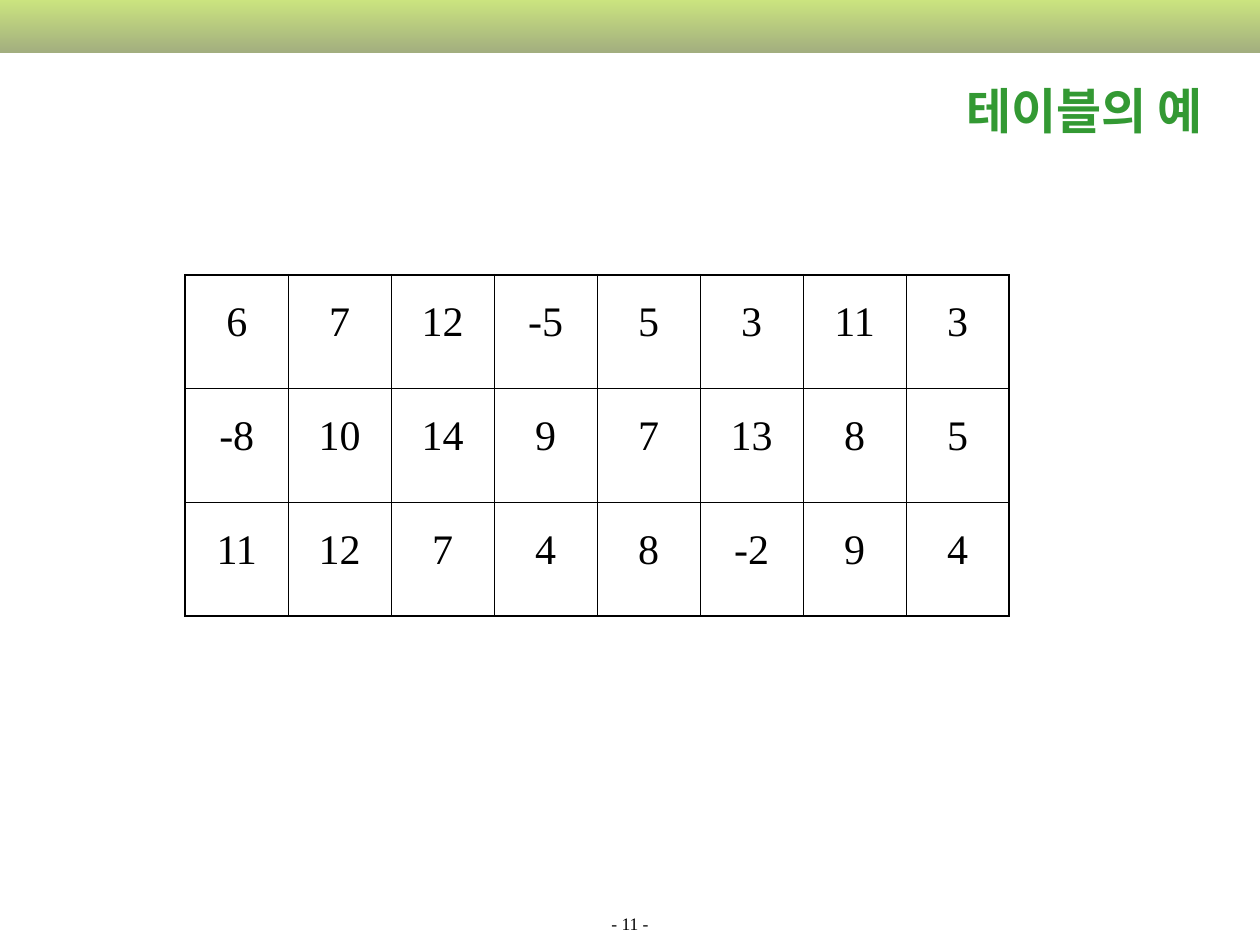
from lxml import etree
from pptx import Presentation
from pptx.dml.color import RGBColor
from pptx.enum.shapes import MSO_SHAPE
from pptx.enum.text import MSO_ANCHOR, PP_ALIGN
from pptx.oxml.ns import qn
from pptx.util import Inches, Pt

RECTANGLE = MSO_SHAPE.RECTANGLE
CENTER = PP_ALIGN.CENTER
MIDDLE = MSO_ANCHOR.MIDDLE
BOTTOM = MSO_ANCHOR.BOTTOM

BLACK = "000000"
TITLE_GREEN = "339933"
SERIF = "Times New Roman"
KOREAN = "Noto Sans CJK KR"
OUTER_LINE = 1.08
INNER_LINE = 0.45

NUMBERS = [
    [6, 7, 12, -5, 5, 3, 11, 3],
    [-8, 10, 14, 9, 7, 13, 8, 5],
    [11, 12, 7, 4, 8, -2, 9, 4],
]


def color(hex_string):
    return RGBColor.from_string(hex_string)


def format_paragraph(paragraph, font_name, size, hex_string, bold=False):
    paragraph.alignment = CENTER
    for run in paragraph.runs:
        run.font.size = Pt(size)
        run.font.bold = bold
        run.font.color.rgb = color(hex_string)
        run.font.name = font_name
        east_asian = etree.SubElement(run.font._element, qn("a:ea"))
        east_asian.set("typeface", font_name)


def add_gradient_band(slide, left, top, width, height, stops, opacity):
    band = slide.shapes.add_shape(
        RECTANGLE, Inches(left), Inches(top), Inches(width), Inches(height)
    )
    band.shadow.inherit = False
    band.line.fill.background()
    band.fill.gradient()
    band.fill.gradient_angle = 270
    for stop, hex_string in zip(band.fill.gradient_stops, stops):
        stop.color.rgb = color(hex_string)
    for rgb in band._element.spPr.iter(qn("a:srgbClr")):
        etree.SubElement(rgb, qn("a:alpha")).set("val", str(opacity * 1000))


def add_text(slide, left, top, width, height, text, anchor, **font):
    box = slide.shapes.add_textbox(
        Inches(left), Inches(top), Inches(width), Inches(height)
    )
    text_frame = box.text_frame
    text_frame.word_wrap = True
    text_frame.vertical_anchor = anchor
    text_frame.text = text
    format_paragraph(text_frame.paragraphs[0], **font)


def add_border(cell, side, width):
    properties = cell._tc.get_or_add_tcPr()
    line = etree.SubElement(properties, qn(f"a:ln{side}"), w=str(Pt(width)))
    fill = etree.SubElement(line, qn("a:solidFill"))
    etree.SubElement(fill, qn("a:srgbClr"), val=BLACK)


def add_number_table(slide, left, top, width, height, numbers):
    row_count, column_count = len(numbers), len(numbers[0])
    frame = slide.shapes.add_table(
        row_count, column_count,
        Inches(left), Inches(top), Inches(width), Inches(height),
    )
    table = frame.table
    table.first_row = False
    table.horz_banding = False
    for row, values in enumerate(numbers):
        for column, value in enumerate(values):
            cell = table.cell(row, column)
            cell.text = str(value)
            paragraph = cell.text_frame.paragraphs[0]
            paragraph.line_spacing = 1.4
            paragraph.space_before = Pt(6)
            format_paragraph(paragraph, SERIF, 24, BLACK)
            on_edge = {
                "L": column == 0,
                "R": column == column_count - 1,
                "T": row == 0,
                "B": row == row_count - 1,
            }
            for side, outer in on_edge.items():
                add_border(cell, side, OUTER_LINE if outer else INNER_LINE)
            cell.fill.background()


def main():
    presentation = Presentation()
    presentation.slide_width = Inches(10)
    presentation.slide_height = Inches(7.5)
    slide = presentation.slides.add_slide(presentation.slide_layouts[6])

    add_gradient_band(slide, 0, 0, 10, 0.42, ["99CC00", "475E00"], opacity=50)
    add_text(slide, 0, 7.24, 10, 0.22, "- 11 -", BOTTOM,
             font_name=SERIF, size=10, hex_string=BLACK)
    add_number_table(slide, 1.47, 2.18, 6.54, 2.71, NUMBERS)
    add_text(slide, 7.21, 0.42, 2.79, 0.9, "테이블의 예", MIDDLE,
             font_name=KOREAN, size=28, hex_string=TITLE_GREEN, bold=True)

    presentation.save("out.pptx")


if __name__ == "__main__":
    main()
